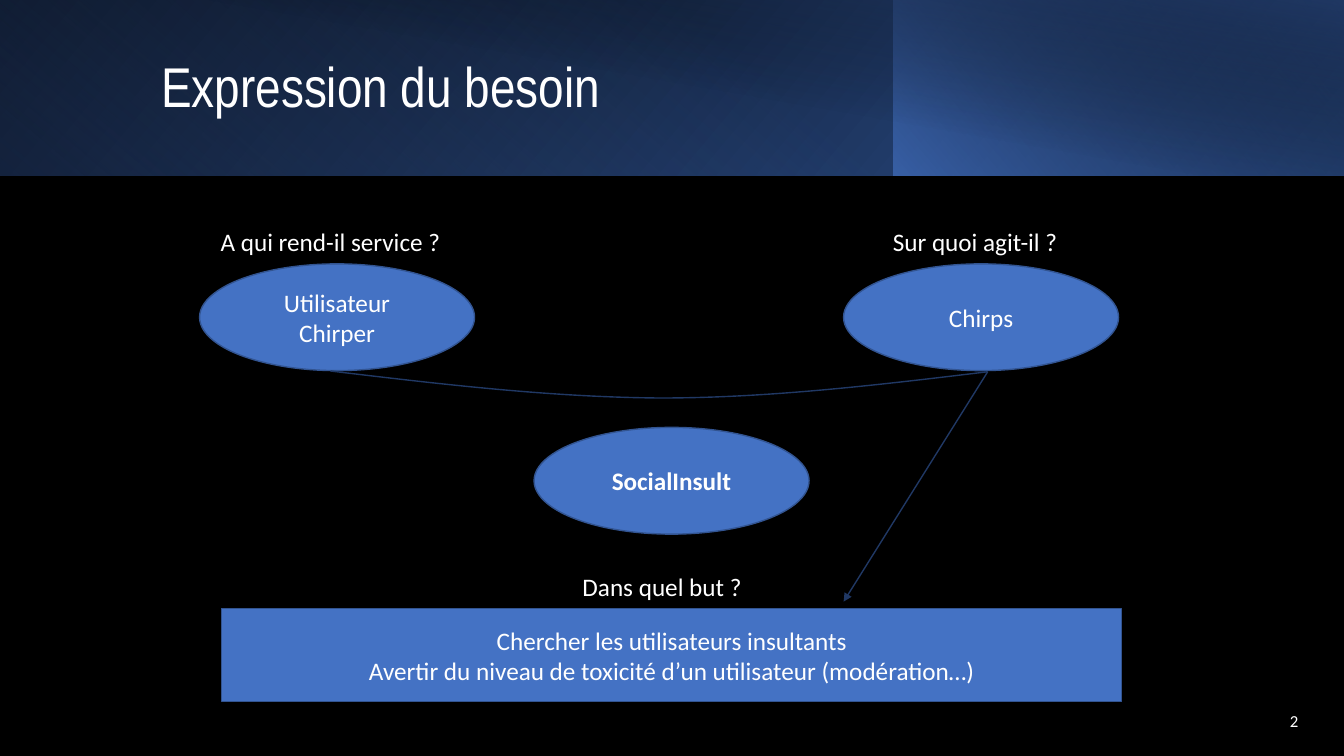
from lxml import etree
from pptx import Presentation
from pptx.dml.color import RGBColor
from pptx.enum.shapes import MSO_CONNECTOR as Connector, MSO_SHAPE as Shape
from pptx.enum.text import MSO_ANCHOR as Anchor, MSO_AUTO_SIZE as AutoSize, PP_ALIGN as Align
from pptx.oxml.ns import qn
from pptx.util import Cm, Pt

BLACK = RGBColor(0x00, 0x00, 0x00)
WHITE = RGBColor(0xFF, 0xFF, 0xFF)
BLUE = RGBColor(0x44, 0x72, 0xC4)
OUTLINE = RGBColor(0x32, 0x54, 0x91)
MID_BLUE = RGBColor(0x2F, 0x55, 0x97)
NAVY = RGBColor(0x20, 0x38, 0x64)

TITLE_FONT = "Arial Narrow"
BODY_FONT = "Calibri"
OVAL_SIZE = (6.93, 2.69)


def set_gradient(shape, stops, angle):
    """Fill with (position %, colour, opacity %) stops, angle clockwise in degrees."""
    shape.fill.background()
    properties = shape._element.spPr
    no_fill = properties.find(qn("a:noFill"))
    gradient = etree.Element(qn("a:gradFill"), rotWithShape="1")
    stop_list = etree.SubElement(gradient, qn("a:gsLst"))
    for position, colour, opacity in stops:
        stop = etree.SubElement(stop_list, qn("a:gs"), pos=str(position * 1000))
        rgb = etree.SubElement(stop, qn("a:srgbClr"), val=str(colour))
        etree.SubElement(rgb, qn("a:alpha"), val=str(opacity * 1000))
    etree.SubElement(gradient, qn("a:lin"), ang=str(angle * 60000), scaled="0")
    properties.replace(no_fill, gradient)


def write_text(shape, lines, size=18, font=BODY_FONT, bold=False,
               align=Align.LEFT, anchor=Anchor.TOP):
    frame = shape.text_frame
    frame.word_wrap = True
    frame.vertical_anchor = anchor
    for index, line in enumerate(lines):
        paragraph = frame.add_paragraph() if index else frame.paragraphs[0]
        paragraph.alignment = align
        run = paragraph.add_run()
        run.text = line
        run.font.size = Pt(size)
        run.font.name = font
        run.font.bold = bold
        run.font.color.rgb = WHITE
    return frame


def add_label(slide, left, top, width, text):
    label = slide.shapes.add_textbox(Cm(left), Cm(top), Cm(width), Cm(1.02))
    write_text(label, [text])
    label.text_frame.auto_size = AutoSize.SHAPE_TO_FIT_TEXT


def add_node(slide, kind, left, top, size, lines, bold=False):
    node = slide.shapes.add_shape(kind, Cm(left), Cm(top), *map(Cm, size))
    node.shadow.inherit = False
    node.fill.solid()
    node.fill.fore_color.rgb = BLUE
    node.line.color.rgb = OUTLINE
    node.line.width = Pt(1)
    write_text(node, lines, bold=bold, align=Align.CENTER, anchor=Anchor.MIDDLE)


def add_curve(slide, points):
    """Draw cubic curves through a start point and groups of three control points."""
    start, *controls = [(Cm(x), Cm(y)) for x, y in points]
    builder = slide.shapes.build_freeform(*start)
    builder.add_line_segments(controls, close=False)
    curve = builder.convert_to_shape()
    segments = list(curve._element.iter(qn("a:lnTo")))
    for first in range(0, len(segments), 3):
        group = segments[first:first + 3]
        bezier = etree.Element(qn("a:cubicBezTo"))
        group[0].addprevious(bezier)
        for segment in group:
            bezier.append(segment[0])
            segment.getparent().remove(segment)
    curve.shadow.inherit = False
    curve.fill.background()
    curve.line.color.rgb = NAVY
    curve.line.width = Pt(1)


def add_arrow(slide, start, end):
    arrow = slide.shapes.add_connector(Connector.STRAIGHT, *map(Cm, start + end))
    arrow.line.color.rgb = NAVY
    arrow.line.width = Pt(1)
    etree.SubElement(arrow.line._get_or_add_ln(), qn("a:tailEnd"), type="triangle")
    etree.SubElement(arrow._element.spPr, qn("a:effectLst"))


def add_header(slide, left, top, width, height):
    bands = [
        (0, width, 0, True, [(0, BLACK, 100), (100, MID_BLUE, 100)], 140),
        (0, 22.55, 180, True, [(20, BLUE, 0), (100, NAVY, 55)], 230),
        (22.53, width - 22.53, 0, True, [(0, BLUE, 66), (100, BLACK, 30)], 220),
        (1.27, width - 1.27, 0, False, [(50, BLACK, 0), (99, NAVY, 52)], 280),
    ]
    for offset, band_width, rotation, flipped, stops, angle in bands:
        band = slide.shapes.add_shape(
            Shape.RECTANGLE, Cm(left + offset), Cm(top), Cm(band_width), Cm(height))
        band.shadow.inherit = False
        band.line.fill.background()
        band.rotation = rotation
        if flipped:
            band._element.spPr.xfrm.set("flipH", "1")
        set_gradient(band, stops, angle)

    title = slide.shapes.title
    title.left, title.top = Cm(left + 3.81), Cm(top + 0.81)
    title.width, title.height = Cm(27.48), Cm(2.87)
    frame = write_text(title, ["Expression du besoin"], 40, TITLE_FONT, anchor=Anchor.MIDDLE)
    frame.auto_size = AutoSize.NONE
    frame.paragraphs[0].line_spacing = 0.9
    slide.shapes._spTree.append(title._element)


def add_needs_diagram(slide, left, top, width):
    ovals = [
        (0, 1.06, "Utilisateur Chirper", False),
        (16.23, 1.06, "Chirps", False),
        (8.43, 5.18, "SocialInsult", True),
    ]
    for x, y, text, bold in ovals:
        add_node(slide, Shape.OVAL, left + x, top + y, OVAL_SIZE, [text], bold)
    add_node(slide, Shape.RECTANGLE, left + 0.56, top + 9.75, (width - 0.56, 2.34), [
        "Chercher les utilisateurs insultants",
        "Avertir du niveau de toxicité d’un utilisateur (modération…)",
    ])

    questions = [
        (0.28, 0, 6.65, "A qui rend-il service ?"),
        (17.22, 0, 6.65, "Sur quoi agit-il ?"),
        (9.4, 8.68, 5, "Dans quel but ?"),
    ]
    for x, y, label_width, text in questions:
        add_label(slide, left + x, top + y, label_width, text)

    curve = [(3.3, 3.76), (6.07, 4.09), (8.84, 4.42), (11.61, 4.44),
             (14.35, 4.44), (17.12, 4.11), (19.86, 3.78)]
    add_curve(slide, [(left + x, top + y) for x, y in curve])
    add_arrow(slide, (left + 19.86, top + 3.78), (left + 16.23, top + 9.57))


def add_page_number(slide, left, top, width, height):
    number = slide.shapes.add_textbox(Cm(left), Cm(top), Cm(width), Cm(height))
    frame = write_text(number, ["2"], 12, align=Align.RIGHT, anchor=Anchor.MIDDLE)
    frame.paragraphs[0].space_after = Pt(6)


def main():
    presentation = Presentation()
    presentation.slide_width, presentation.slide_height = Cm(33.87), Cm(19.05)
    slide = presentation.slides.add_slide(presentation.slide_layouts[5])
    slide.background.fill.solid()
    slide.background.fill.fore_color.rgb = BLACK
    add_header(slide, 0, 0, 33.87, 4.43)
    add_needs_diagram(slide, 5.03, 5.59, 23.24)
    add_page_number(slide, 30.96, 17.65, 2.01, 1.02)
    presentation.save("out.pptx")


if __name__ == "__main__":
    main()
